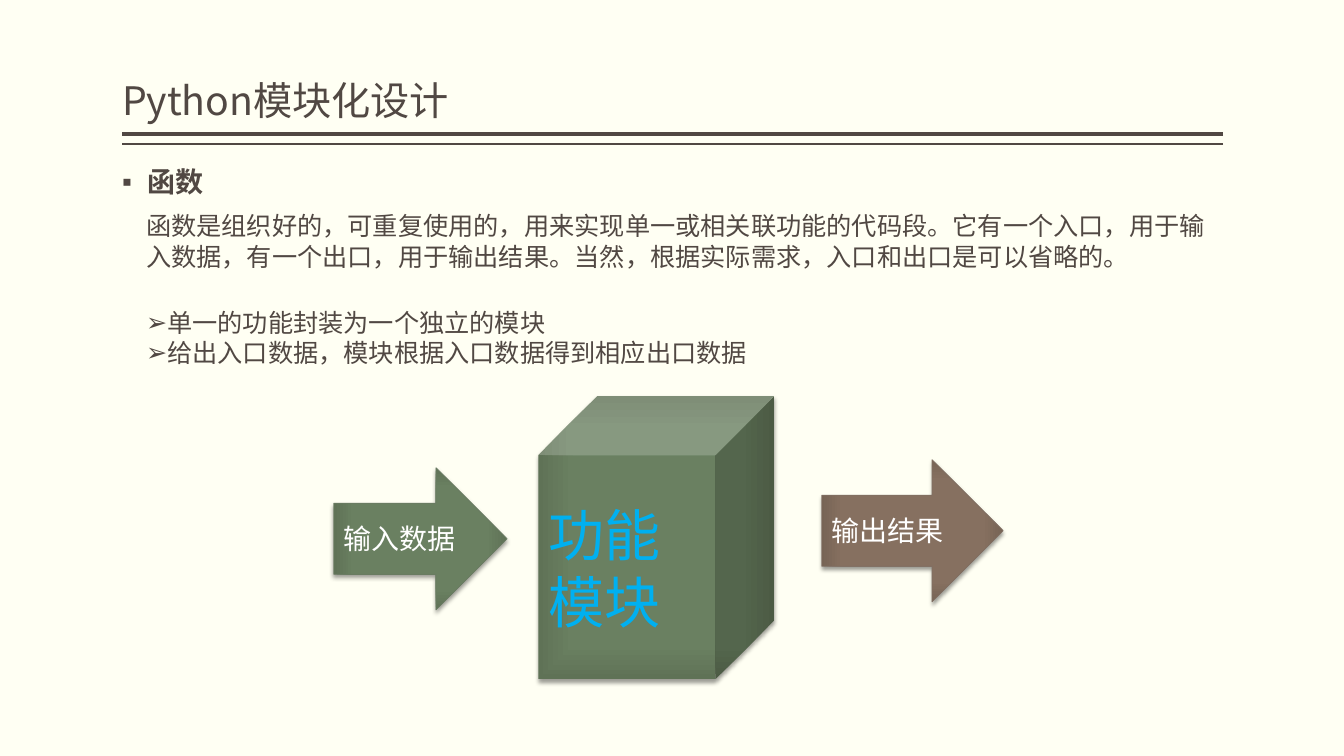
"""Build the slide on modular design with functions in Python."""
from dataclasses import dataclass

from lxml import etree
from pptx import Presentation
from pptx import util as u
from pptx.dml.color import RGBColor
from pptx.enum import shapes, text
from pptx.oxml import parse_xml
from pptx.oxml.ns import nsdecls, qn

WIDTH, HEIGHT = u.Inches(13.33), u.Inches(7.5)
LEFT, RULE_WIDTH = 9.08, 81.92
CJK_FONT = "Noto Sans CJK SC"
COLORS = {
    "background": "FFFFF3", "ink": "514843", "white": "FFFFFF", "blue": "00B0F0",
    "green": "6B8162", "green mid": "6A8061", "green edge": "5F7256", "green line": "6A7B63",
    "brown": "877161", "brown mid": "867060", "brown edge": "776455", "brown line": "806F63",
}


@dataclass
class Box:
    """Place in percent of the slide's width and height."""
    left: float
    top: float
    width: float
    height: float

    def lengths(self) -> tuple[int, int, int, int]:
        return (across(self.left), down(self.top), across(self.width), down(self.height))


@dataclass
class TextStyle:
    size: float
    color: str = "ink"
    font: str = CJK_FONT
    bold: bool = False
    bullet: str = ""
    hanging: float = 0
    line_spacing: float = 1.0
    space_before: float = 0


@dataclass
class TextBlock:
    box: Box
    lines: list[str]
    style: TextStyle
    inset: float = 0.1
    wrap: bool = True
    grow: bool = True


@dataclass
class Solid:
    kind: shapes.MSO_SHAPE
    box: Box
    label: str
    style: TextStyle
    hue: str
    outlined: bool = True


@dataclass
class Rule:
    top: float
    weight: float


RULES = [Rule(17.73, 3), Rule(19.07, 1)]
TITLE = TextBlock(Box(LEFT, 1.07, RULE_WIDTH, 16), ["Python模块化设计"],
                  TextStyle(28, line_spacing=0.9), inset=0, grow=False)
BLOCKS = [
    TextBlock(Box(LEFT, 21.6, 32.71, 8.53), ["函数"],
              TextStyle(20, bold=True, bullet="▪", hanging=0.25, line_spacing=0.9,
                        space_before=18), inset=0, grow=False),
    TextBlock(Box(10.13, 27.2, 81.32, 9.47),
              ["函数是组织好的，可重复使用的，用来实现单一或相关联功能的代码段。"
               "它有一个入口，用于输入数据，有一个出口，用于输出结果。"
               "当然，根据实际需求，入口和出口是可以省略的。"],
              TextStyle(18, font="Times New Roman")),
    TextBlock(Box(10.13, 40, 46.59, 9.47),
              ["单一的功能封装为一个独立的模块", "给出入口数据，模块根据入口数据得到相应出口数据"],
              TextStyle(18, font="Arial", bullet="➢"), wrap=False),
]
ARROW_TEXT = TextStyle(20, "white")
SOLIDS = [
    Solid(shapes.MSO_SHAPE.CUBE, Box(40.06, 52.4, 17.55, 37.47), "功能 模块",
          TextStyle(40, "blue"), "green", outlined=False),
    Solid(shapes.MSO_SHAPE.RIGHT_ARROW, Box(24.83, 61.87, 12.9, 18.8), "输入数据",
          ARROW_TEXT, "green"),
    Solid(shapes.MSO_SHAPE.RIGHT_ARROW, Box(61.14, 60.8, 13.5, 18.8), "输出结果",
          ARROW_TEXT, "brown"),
]


def across(percent: float) -> int:
    return round(WIDTH * percent / 100)


def down(percent: float) -> int:
    return round(HEIGHT * percent / 100)


def color(name: str) -> RGBColor:
    return RGBColor.from_string(COLORS[name])


def write(frame, lines: list[str], style: TextStyle) -> None:
    frame.text = "\n".join(lines)
    for paragraph in frame.paragraphs:
        paragraph.alignment = text.PP_ALIGN.LEFT
        paragraph.line_spacing = style.line_spacing
        paragraph.space_before = u.Pt(style.space_before)
        if style.bullet:
            properties = paragraph._p.get_or_add_pPr()
            properties.set("marL", str(u.Inches(style.hanging)))
            properties.set("indent", str(-u.Inches(style.hanging)))
            etree.SubElement(properties, qn("a:buFont"), typeface="Arial")
            etree.SubElement(properties, qn("a:buChar"), char=style.bullet)
        for run in paragraph.runs:
            run.font.size = u.Pt(style.size)
            run.font.bold = style.bold
            run.font.color.rgb = color(style.color)
            run.font.name = style.font
            etree.SubElement(run._r.get_or_add_rPr(), qn("a:ea"), typeface=CJK_FONT)


def fill_block(shape, block: TextBlock) -> None:
    shape.left, shape.top, shape.width, shape.height = block.box.lengths()
    frame = shape.text_frame
    frame.word_wrap = block.wrap
    frame.auto_size = (text.MSO_AUTO_SIZE.SHAPE_TO_FIT_TEXT if block.grow
                       else text.MSO_AUTO_SIZE.NONE)
    frame.margin_left = frame.margin_right = u.Inches(block.inset)
    frame.margin_top = frame.margin_bottom = u.Inches(0.05)
    write(frame, block.lines, block.style)


def draw_rule(slide, rule: Rule) -> None:
    top = down(rule.top)
    line = slide.shapes.add_connector(shapes.MSO_CONNECTOR.STRAIGHT, across(LEFT + RULE_WIDTH),
                                      top, across(LEFT), top)
    line.line.color.rgb = color("ink")
    line.line.width = u.Pt(rule.weight)
    etree.SubElement(line._element.spPr, qn("a:effectLst"))


def draw_solid(slide, solid: Solid) -> None:
    shape = slide.shapes.add_shape(solid.kind, *solid.box.lengths())
    stops = "".join(
        f'<a:gs pos="{share * 1000}"><a:srgbClr val="{COLORS[solid.hue + suffix]}"/></a:gs>'
        for share, suffix in ((0, ""), (71, " mid"), (100, " edge")))
    shape._element.spPr.insert(2, parse_xml(
        f'<a:gradFill {nsdecls("a")} rotWithShape="1"><a:gsLst>{stops}</a:gsLst>'
        '<a:path path="rect"><a:fillToRect l="50000" t="50000" r="50000" b="50000"/></a:path>'
        '</a:gradFill>'))
    if solid.outlined:
        shape.line.color.rgb = color(solid.hue + " line")
        shape.line.width = u.Pt(0.5)
    else:
        shape.line.fill.background()
    shape.shadow.inherit = False
    shape._element.spPr.find(qn("a:effectLst")).append(parse_xml(
        f'<a:outerShdw {nsdecls("a")} blurRad="{u.Pt(3.1)}" dist="{u.Pt(2)}" dir="5400000" '
        'rotWithShape="0"><a:srgbClr val="000000"><a:alpha val="38000"/></a:srgbClr>'
        '</a:outerShdw>'))
    shape.text_frame.word_wrap = True
    shape.text_frame.vertical_anchor = text.MSO_ANCHOR.MIDDLE
    write(shape.text_frame, [solid.label], solid.style)


def main() -> None:
    presentation = Presentation()
    presentation.slide_width, presentation.slide_height = WIDTH, HEIGHT
    slide = presentation.slides.add_slide(presentation.slide_layouts.get_by_name("Title Only"))
    slide.background.fill.solid()
    slide.background.fill.fore_color.rgb = color("background")
    for rule in RULES:
        draw_rule(slide, rule)
    fill_block(slide.shapes.title, TITLE)
    slide.shapes.title.text_frame.vertical_anchor = text.MSO_ANCHOR.BOTTOM
    for block in BLOCKS:
        fill_block(slide.shapes.add_textbox(*block.box.lengths()), block)
    for solid in SOLIDS:
        draw_solid(slide, solid)
    presentation.save("out.pptx")


if __name__ == "__main__":
    main()
